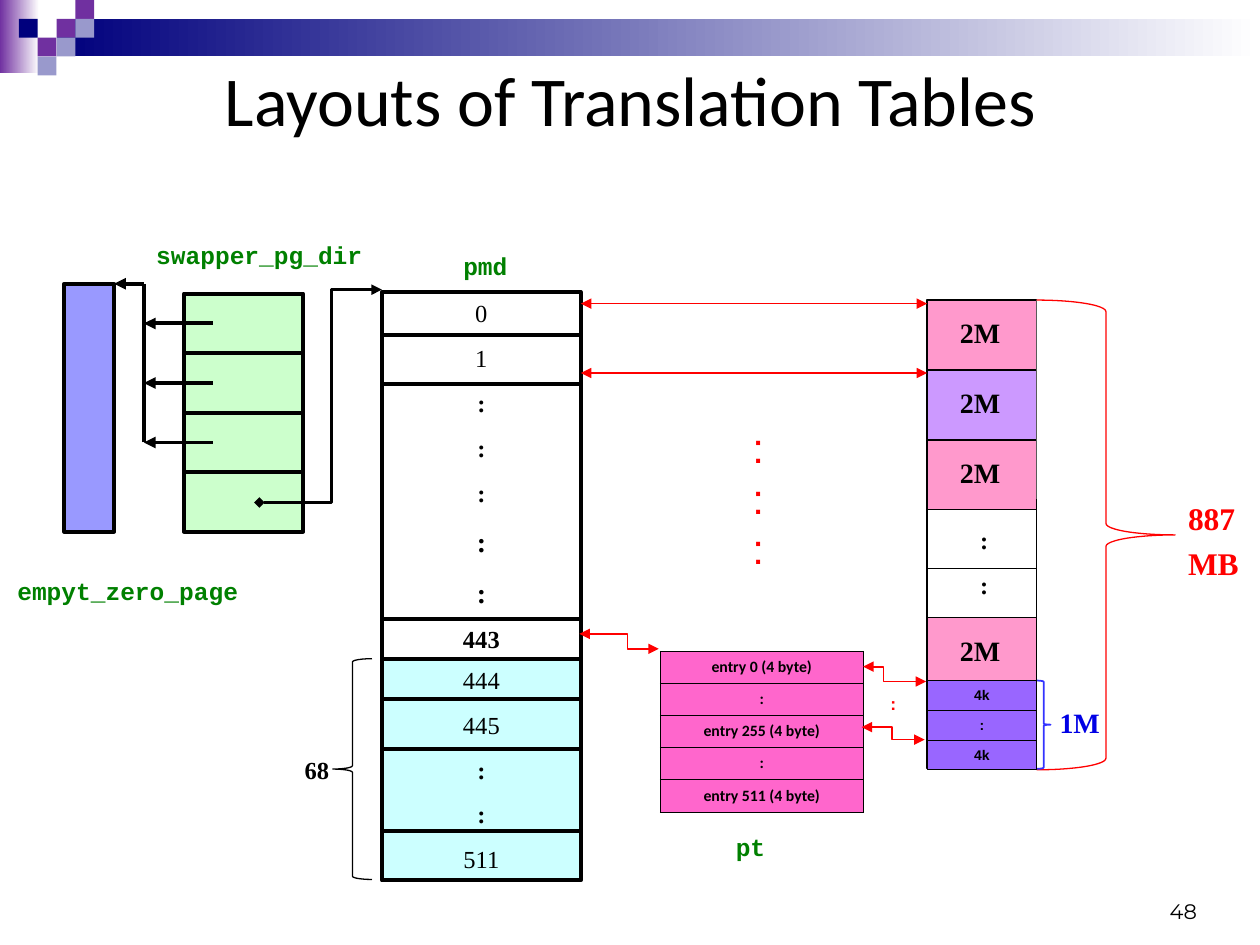
from typing import NamedTuple

from lxml.etree import SubElement
from pptx import Presentation
from pptx.dml.color import RGBColor
from pptx.enum.shapes import MSO_CONNECTOR, MSO_SHAPE
from pptx.enum.text import MSO_ANCHOR, PP_ALIGN
from pptx.oxml.ns import qn
from pptx.util import Cm, Pt

BLACK = RGBColor(0x00, 0x00, 0x00)
WHITE = RGBColor(0xFF, 0xFF, 0xFF)
RED = RGBColor(0xFF, 0x00, 0x00)
GREEN = RGBColor(0x00, 0x80, 0x00)
BLUE = RGBColor(0x00, 0x00, 0xE5)
BRACE_BLUE = RGBColor(0x33, 0x33, 0xFF)
NAVY = RGBColor(0x00, 0x00, 0x7D)
PURPLE = RGBColor(0x70, 0x30, 0xA0)
LAVENDER = RGBColor(0x99, 0x99, 0xCC)
PERIWINKLE = RGBColor(0x99, 0x99, 0xFF)
MINT = RGBColor(0xCC, 0xFF, 0xCC)
AQUA = RGBColor(0xCC, 0xFF, 0xFF)
PINK = RGBColor(0xFF, 0x99, 0xCC)
LILAC = RGBColor(0xCC, 0x99, 0xFF)
VIOLET = RGBColor(0x99, 0x66, 0xFF)
MAGENTA = RGBColor(0xFF, 0x66, 0xCC)


class Face(NamedTuple):
    name: str
    size: int
    color: RGBColor = BLACK
    bold: bool = False
    gap: float = 0


TITLE = Face("Calibri", 40)
INDEX = Face("Times New Roman", 14, gap=8.8)
INDEX_BOLD = INDEX._replace(bold=True)
INDEX_LARGE = Face("Times New Roman", 16, BLACK, True, 10)
BLOCK = Face("Times New Roman", 16, BLACK, True)
TOTAL = Face("Times New Roman", 18, RED, True, 4.5)
CODE = Face("Courier New", 14, GREEN, True)
ENTRY = Face("Calibri", 9, BLACK, True)
SMALL_PAGE = Face("Arial", 8, BLACK, True)
RED_COLON = Face("Arial", 10, RED, True)
RED_DOTS = Face("Arial", 24, RED)
NUMBER = Face("Montserrat", 12)


class Diagram:
    def __init__(self, page):
        self.page = page
        self.heavy = 2.25
        self.thin = 0.75

    def set_lines(self, frame, lines, align):
        frame.word_wrap = True
        for index, (text, face) in enumerate(lines):
            para = frame.add_paragraph() if index else frame.paragraphs[0]
            para.text = text
            para.alignment = align
            if index:
                para.space_before = Pt(face.gap)
            para.font.name = face.name
            para.font.size = Pt(face.size)
            para.font.bold = face.bold
            para.font.color.rgb = face.color

    def text(self, x, y, width, height, lines, align=PP_ALIGN.LEFT):
        box = self.page.shapes.add_textbox(Cm(x), Cm(y), Cm(width), Cm(height))
        self.set_lines(box.text_frame, lines, align)
        return box

    def shape(self, x, y, width, height, fill=None, line=None, weight=1.0,
              kind=MSO_SHAPE.RECTANGLE, lines=()):
        box = self.page.shapes.add_shape(kind, Cm(x), Cm(y), Cm(width), Cm(height))
        box.shadow.inherit = False
        if fill is None:
            box.fill.background()
        else:
            box.fill.solid()
            box.fill.fore_color.rgb = fill
        if line is None:
            box.line.fill.background()
        else:
            box.line.color.rgb = line
            box.line.width = Pt(weight)
        if lines:
            box.text_frame.vertical_anchor = MSO_ANCHOR.TOP
            self.set_lines(box.text_frame, lines, PP_ALIGN.CENTER)
        return box

    def fade(self, x, y, width, height, color):
        band = self.shape(x, y, width, height)
        band.fill.gradient()
        band.fill.gradient_angle = 0
        for stop, shade, position in zip(band.fill.gradient_stops, (color, WHITE), (0, 1)):
            stop.color.rgb = shade
            stop.position = position

    def stroke(self, shape, color, weight, head, tail):
        shape.line.color.rgb = color
        shape.line.width = Pt(weight)
        outline = shape.element.spPr.find(qn("a:ln"))
        for tag, kind in (("a:headEnd", head), ("a:tailEnd", tail)):
            if kind:
                SubElement(outline, qn(tag), type=kind)

    def line(self, x1, y1, x2, y2, color=BLACK, weight=None, head=None, tail=None):
        link = self.page.shapes.add_connector(
            MSO_CONNECTOR.STRAIGHT, Cm(x1), Cm(y1), Cm(x2), Cm(y2))
        self.stroke(link, color, weight or self.heavy, head, tail)
        SubElement(link.element.spPr, qn("a:effectLst"))
        return link

    def elbow(self, x1, y1, bend, x2, y2, color=RED, weight=1, head="triangle"):
        builder = self.page.shapes.build_freeform(Cm(x1), Cm(y1))
        corners = [(bend, y1), (bend, y2), (x2, y2)]
        builder.add_line_segments([(Cm(x), Cm(y)) for x, y in corners], close=False)
        route = builder.convert_to_shape()
        route.shadow.inherit = False
        route.fill.background()
        self.stroke(route, color, weight, head, "triangle")

    def table(self, x, y, width, heights, entries, fill):
        frame = self.page.shapes.add_table(
            len(entries), 1, Cm(x), Cm(y), Cm(width), Cm(sum(heights)))
        grid = frame.table
        grid.first_row = False
        grid.horz_banding = False
        for index, (height, entry) in enumerate(zip(heights, entries)):
            grid.rows[index].height = Cm(height)
            cell = grid.cell(index, 0)
            cell.margin_left = cell.margin_right = Cm(0.13)
            cell.margin_top = cell.margin_bottom = Cm(0.13)
            cell.vertical_anchor = MSO_ANCHOR.MIDDLE
            self.set_lines(cell.text_frame, [(entry, ENTRY)], PP_ALIGN.CENTER)
            properties = cell._tc.get_or_add_tcPr()
            for side in ("a:lnL", "a:lnR", "a:lnT", "a:lnB"):
                border = SubElement(properties, qn(side), w=str(Pt(0.45)))
                paint = SubElement(border, qn("a:solidFill"))
                SubElement(paint, qn("a:srgbClr"), val=str(BLACK))
            cell.fill.solid()
            cell.fill.fore_color.rgb = fill


def draw_header(diagram):
    diagram.fade(0, 0, 0.79, 1.47, PURPLE)
    diagram.fade(1.14, 0.38, 24.26, 0.76, NAVY)
    tile = 0.38
    for column, row, color in ((3, 1, PURPLE), (4, 0, PURPLE), (4, 1, LAVENDER),
                               (2, 2, PURPLE), (1, 1, NAVY), (3, 2, LAVENDER),
                               (2, 3, LAVENDER)):
        diagram.shape(column * tile, row * tile, tile, tile, color)
    diagram.text(1.75, 1.02, 21.92, 3.68,
                 [("Layouts of Translation Tables", TITLE)], PP_ALIGN.CENTER)


def draw_pmd(diagram):
    left, width = 7.7, 4.01
    colon = (":", INDEX_BOLD)
    upper = [("0", INDEX), ("1", INDEX), colon, colon, colon,
             (":", INDEX_LARGE), (":", INDEX_LARGE), ("443", INDEX_BOLD)]
    lower = [("444", INDEX), ("445", INDEX), colon, colon, ("511", INDEX)]
    diagram.shape(left, 5.89, width, 7.42, None, BLACK, diagram.heavy, lines=upper)
    diagram.shape(left, 13.28, width, 4.47, AQUA, BLACK, diagram.heavy, lines=lower)
    for y in (6.76, 7.75, 12.47, 14.1, 15.09, 16.76):
        diagram.line(left, y, left + width, y)
    diagram.shape(6.71, 13.28, 0.79, 4.45, WHITE, BLACK, diagram.thin, MSO_SHAPE.LEFT_BRACE)
    diagram.text(5.89, 15.09, 1.4, 0.86, [("68", INDEX_BOLD)])


def draw_directory(diagram):
    left, top, width, row, bus = 3.71, 5.92, 2.4, 1.2, 2.9
    directory = diagram.shape(left, top, width, 4 * row, MINT, BLACK, diagram.heavy)
    dividers = [diagram.line(left, top + row * i, left + width, top + row * i)
                for i in (1, 2, 3)]
    dividers[1].begin_connect(directory, 1)
    dividers[1].end_connect(directory, 3)
    diagram.shape(1.3, 5.72, 1, 5, PERIWINKLE, BLACK, diagram.heavy)
    for i in range(3):
        y = top + row * (i + 0.5)
        diagram.line(4.29, y, bus, y, tail="triangle")
    diagram.line(bus, y, bus, 5.72)
    diagram.line(bus, 5.72, 2.3, 5.72, tail="triangle")
    diagram.elbow(5.23, 10.13, 6.68, 7.7, 5.84, BLACK, 2, "diamond")


def draw_memory(diagram):
    left, width, thin = 18.69, 2.21, diagram.thin
    right = left + width
    for y, height, fill in ((6.05, 1.4, PINK), (7.46, 1.4, LILAC),
                            (8.87, 1.4, PINK), (12.45, 3.05, PINK)):
        diagram.shape(left, y, width, height, fill, BLACK, thin)
        diagram.text(19.1, y + 0.19, 1.8, 0.94, [("2M", BLOCK)])
    diagram.line(left, 10.06, left, 12.65, weight=thin)
    diagram.text(19.51, 10.46, 0.76, 1.75, [(":", INDEX_BOLD)] * 2)
    diagram.line(left, 11.46, right, 11.46, weight=thin)
    for i, label in enumerate(("4k", ":", "4k")):
        diagram.shape(left, 13.72 + 0.6 * i, width, 0.6, VIOLET, BLACK, 0.5,
                      lines=[(label, SMALL_PAGE)])
    brace = MSO_SHAPE.RIGHT_BRACE
    diagram.shape(right, 6.05, 2.79, 9.47, WHITE, RED, thin, brace)
    diagram.shape(right, 13.72, 0.28, 1.78, WHITE, BRACE_BLUE, 1, brace)
    diagram.line(right, 10.06, right, 15.52, weight=thin)
    diagram.text(23.7, 9.93, 1.6, 1.96, [("887", TOTAL), ("MB", TOTAL)])
    diagram.text(21.11, 14.1, 1.37, 0.94, [("1M", BLOCK._replace(color=BLUE))])


def draw_mappings(diagram):
    diagram.table(13.31, 13.13, 4.09, [0.63] * 4 + [0.68],
                  ["entry 0 (4 byte)", ":", "entry 255 (4 byte)", ":", "entry 511 (4 byte)"],
                  MAGENTA)
    for y in (6.12, 7.52):
        diagram.line(11.71, y, 18.69, y, RED, 1, "triangle", "triangle")
    diagram.elbow(11.68, 12.78, 12.65, 13.28, 13.08)
    diagram.elbow(17.4, 13.44, 17.81, 18.67, 13.74)
    diagram.elbow(17.37, 14.66, 17.98, 18.64, 14.91)
    diagram.text(17.7, 13.84, 0.51, 0.69, [(":", RED_COLON)])
    diagram.text(13.89, 8.38, 2.79, 3.3, [(":", RED_DOTS)] * 3, PP_ALIGN.CENTER)


def draw_labels(diagram):
    for x, y, width, label in ((2.9, 4.72, 5, "swapper_pg_dir"),
                               (0.1, 11.48, 5, "empyt_zero_page"),
                               (9.09, 4.93, 1.6, "pmd")):
        diagram.text(x, y, width, 0.86, [(label, CODE)])
    diagram.text(14.48, 16.64, 1.3, 0.86, [("pt", CODE)], PP_ALIGN.CENTER)
    number = diagram.text(18.21, 18.11, 5.92, 0.51, [("48", NUMBER)], PP_ALIGN.RIGHT)
    frame = number.text_frame
    frame.vertical_anchor = MSO_ANCHOR.BOTTOM
    frame.margin_left = frame.margin_right = frame.margin_top = frame.margin_bottom = 0


def main():
    deck = Presentation()
    deck.slide_width, deck.slide_height = Cm(25.4), Cm(19.05)
    diagram = Diagram(deck.slides.add_slide(deck.slide_layouts[6]))
    for draw in (draw_header, draw_pmd, draw_directory, draw_memory,
                 draw_mappings, draw_labels):
        draw(diagram)
    deck.save("out.pptx")


if __name__ == "__main__":
    main()
